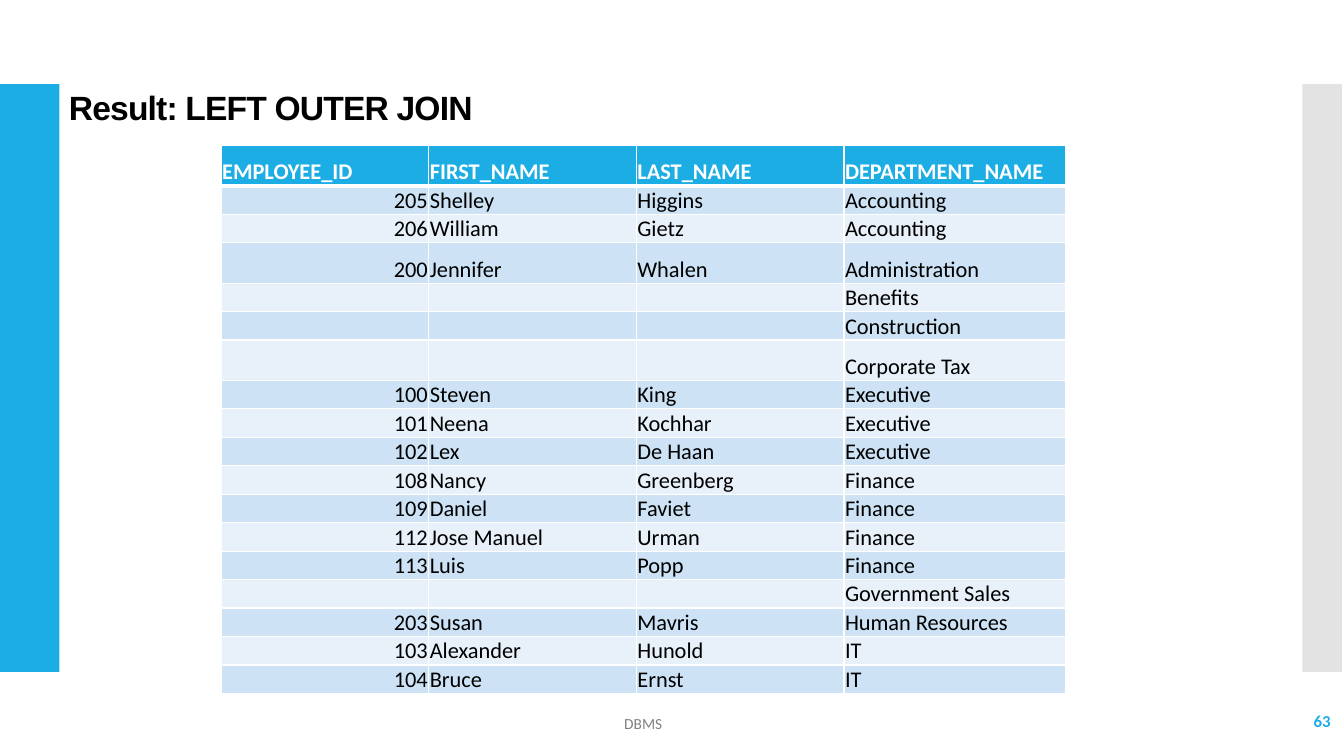
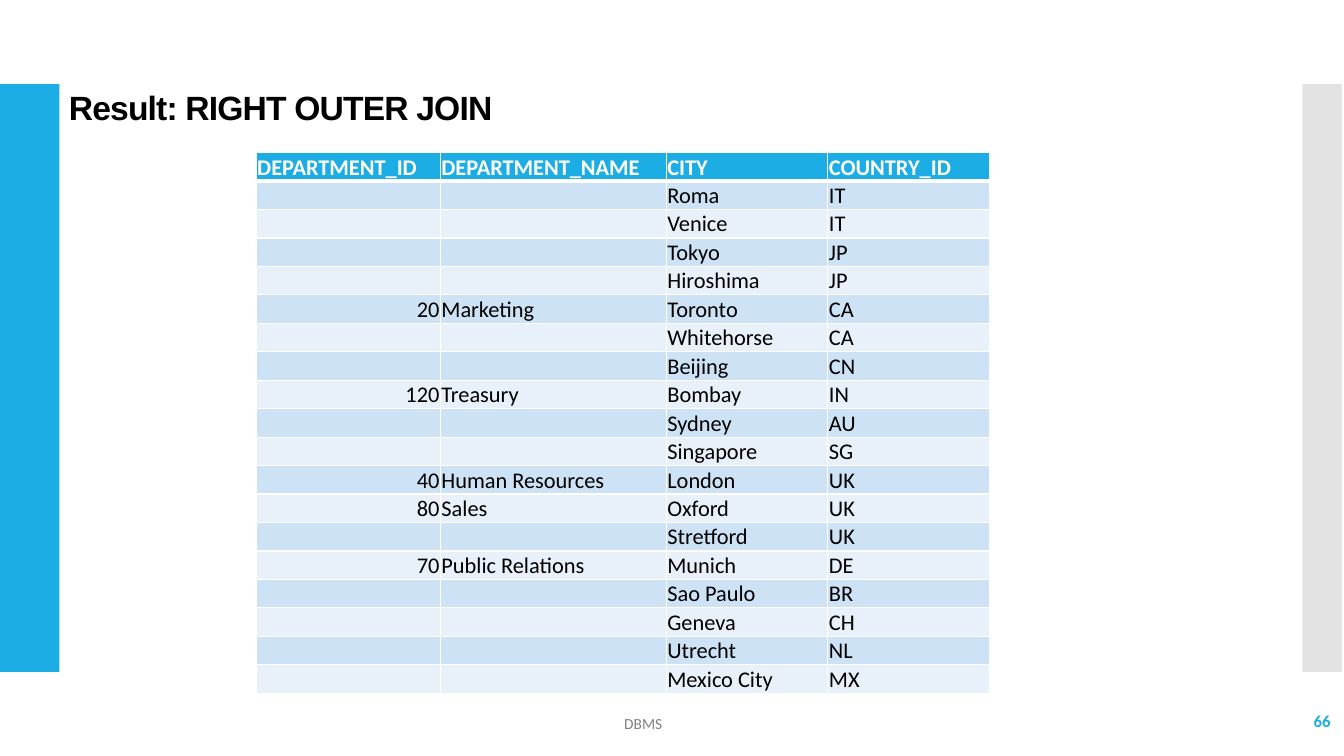
from lxml import etree
from pptx import Presentation
from pptx.dml.color import RGBColor
from pptx.enum import shapes, text
from pptx.oxml import ns
from pptx.util import Pt

BLUE = RGBColor(0x1C, 0xAD, 0xE4)
GREY = RGBColor(0xC8, 0xC8, 0xC8)
FOOTER_GREY = RGBColor(0x80, 0x80, 0x80)
DARK_BAND = RGBColor(0xCD, 0xE3, 0xF5)
LIGHT_BAND = RGBColor(0xE8, 0xF1, 0xFA)
BLACK = RGBColor(0, 0, 0)
WHITE = RGBColor(0xFF, 0xFF, 0xFF)

SLIDE_WIDTH, SLIDE_HEIGHT = 960, 540
TITLE_BOX = (42, 62, 752, 29)
NUMBER_BOX = (837.5, 500.5, 120, 29)
FOOTER_BOX = (227, 502, 465, 29)
BAND_TOP, BAND_HEIGHT = 60, 420
ROW_HEIGHT, TALL_ROW_HEIGHT = 20.3, 28.8
CELL_SIZE = 16

LEFT_JOIN = [
    ("EMPLOYEE_ID", "FIRST_NAME", "LAST_NAME", "DEPARTMENT_NAME"),
    ("205", "Shelley", "Higgins", "Accounting"),
    ("206", "William", "Gietz", "Accounting"),
    ("200", "Jennifer", "Whalen", "Administration"),
    ("", "", "", "Benefits"),
    ("", "", "", "Construction"),
    ("", "", "", "Corporate Tax"),
    ("100", "Steven", "King", "Executive"),
    ("101", "Neena", "Kochhar", "Executive"),
    ("102", "Lex", "De Haan", "Executive"),
    ("108", "Nancy", "Greenberg", "Finance"),
    ("109", "Daniel", "Faviet", "Finance"),
    ("112", "Jose Manuel", "Urman", "Finance"),
    ("113", "Luis", "Popp", "Finance"),
    ("", "", "", "Government Sales"),
    ("203", "Susan", "Mavris", "Human Resources"),
    ("103", "Alexander", "Hunold", "IT"),
    ("104", "Bruce", "Ernst", "IT"),
]

RIGHT_JOIN = [
    ("DEPARTMENT_ID", "DEPARTMENT_NAME", "CITY", "COUNTRY_ID"),
    ("", "", "Roma", "IT"),
    ("", "", "Venice", "IT"),
    ("", "", "Tokyo", "JP"),
    ("", "", "Hiroshima", "JP"),
    ("20", "Marketing", "Toronto", "CA"),
    ("", "", "Whitehorse", "CA"),
    ("", "", "Beijing", "CN"),
    ("120", "Treasury", "Bombay", "IN"),
    ("", "", "Sydney", "AU"),
    ("", "", "Singapore", "SG"),
    ("40", "Human Resources", "London", "UK"),
    ("80", "Sales", "Oxford", "UK"),
    ("", "", "Stretford", "UK"),
    ("70", "Public Relations", "Munich", "DE"),
    ("", "", "Sao Paulo", "BR"),
    ("", "", "Geneva", "CH"),
    ("", "", "Utrecht", "NL"),
    ("", "", "Mexico City", "MX"),
]


def points(box):
    return [Pt(length) for length in box]


def write_text(frame, content, size, color, font="Calibri", bold=False,
               align=text.PP_ALIGN.LEFT, line_spacing=None, tracking=None):
    paragraph = frame.paragraphs[0]
    paragraph.alignment = align
    paragraph.line_spacing = line_spacing
    run = paragraph.add_run()
    run.text = content
    run.font.name = font
    run.font.size = Pt(size)
    run.font.bold = bold
    run.font.color.rgb = color
    if tracking is not None:
        run.font._element.set("spc", str(round(tracking * 100)))


def add_text_box(slide, box, content, **text_format):
    frame = slide.shapes.add_textbox(*points(box)).text_frame
    frame.word_wrap = True
    frame.vertical_anchor = text.MSO_ANCHOR.MIDDLE
    write_text(frame, content, **text_format)


def add_master_band(slide, box, color, opacity=100):
    """Draw a side band and move it to the slide master."""
    band = slide.shapes.add_shape(shapes.MSO_SHAPE.RECTANGLE, *points(box))
    band.shadow.inherit = False
    band.line.fill.background()
    band.fill.solid()
    band.fill.fore_color.rgb = color
    if opacity < 100:
        color_element = band._element.spPr.find(".//" + ns.qn("a:srgbClr"))
        alpha = etree.SubElement(color_element, ns.qn("a:alpha"))
        alpha.set("val", str(opacity * 1000))
    slide.slide_layout.slide_master.shapes._spTree.insert(2, band._element)


def set_borders(cell, top, bottom):
    """Give the cell white borders; only top and bottom widths vary."""
    properties = cell._tc.get_or_add_tcPr()
    widths = {"a:lnL": 1, "a:lnR": 1, "a:lnT": top, "a:lnB": bottom}
    for index, (tag, width) in enumerate(widths.items()):
        line = etree.Element(ns.qn(tag), w=str(Pt(width)))
        fill = etree.SubElement(line, ns.qn("a:solidFill"))
        etree.SubElement(fill, ns.qn("a:srgbClr"), val=str(WHITE))
        properties.insert(index, line)


def fill_cell(cell, content, row_index):
    header = row_index == 0
    cell.margin_left = cell.margin_right = cell.margin_top = Pt(0.75)
    cell.margin_bottom = 0
    cell.vertical_anchor = text.MSO_ANCHOR.BOTTOM
    cell.fill.solid()
    cell.fill.fore_color.rgb = (
        BLUE if header else DARK_BAND if row_index % 2 else LIGHT_BAND)
    set_borders(cell, top=3 if row_index == 1 else 1, bottom=3 if header else 1)
    if content:
        align = text.PP_ALIGN.RIGHT if content.isdigit() else text.PP_ALIGN.LEFT
        write_text(cell.text_frame, content, size=CELL_SIZE, bold=header,
                   color=WHITE if header else BLACK, align=align)
    else:
        end_format = cell.text_frame.paragraphs[0]._p.get_or_add_endParaRPr()
        end_format.set("sz", str(CELL_SIZE * 100))


def add_result_table(slide, left, top, column_widths, rows, tall_rows):
    heights = [TALL_ROW_HEIGHT if index in tall_rows else ROW_HEIGHT
               for index in range(len(rows))]
    box = (left, top, sum(column_widths), sum(heights))
    table = slide.shapes.add_table(
        len(rows), len(column_widths), *points(box)).table
    table.horz_banding = False
    for column, width in zip(table.columns, column_widths):
        column.width = Pt(width)
    for row_index, values in enumerate(rows):
        table.rows[row_index].height = Pt(heights[row_index])
        for column_index, value in enumerate(values):
            fill_cell(table.cell(row_index, column_index), value, row_index)


def add_title(slide, box, content):
    title = slide.shapes.title
    title.left, title.top, title.width, title.height = points(box)
    frame = title.text_frame
    frame.auto_size = text.MSO_AUTO_SIZE.NONE
    frame.vertical_anchor = text.MSO_ANCHOR.TOP
    write_text(frame, content, size=24, color=BLACK, font="Arial", bold=True,
               line_spacing=0.9, tracking=-0.6)


def add_result_slide(presentation, title, number, **table_format):
    slide = presentation.slides.add_slide(presentation.slide_layouts[5])
    add_title(slide, TITLE_BOX, title)
    add_result_table(slide, **table_format)
    add_text_box(slide, NUMBER_BOX, number, size=12, color=BLUE, bold=True,
                 align=text.PP_ALIGN.RIGHT)
    add_text_box(slide, FOOTER_BOX, "DBMS", size=11, color=FOOTER_GREY,
                 align=text.PP_ALIGN.CENTER)
    return slide


def main():
    presentation = Presentation()
    presentation.slide_width = Pt(SLIDE_WIDTH)
    presentation.slide_height = Pt(SLIDE_HEIGHT)
    slide = add_result_slide(
        presentation, "Result: LEFT OUTER JOIN", "63", left=158, top=104,
        column_widths=(148.3, 148.3, 148.3, 158.4), rows=LEFT_JOIN,
        tall_rows=(0, 3, 6))
    add_master_band(slide, (0, BAND_TOP, 42.4, BAND_HEIGHT), BLUE)
    add_master_band(slide, (930.3, BAND_TOP, 28.3, BAND_HEIGHT), GREY, opacity=50)
    add_result_slide(
        presentation, "Result: RIGHT OUTER JOIN", "66", left=183, top=109,
        column_widths=(131.6, 161.4, 115.4, 115.4), rows=RIGHT_JOIN,
        tall_rows=())
    presentation.save("out.pptx")


if __name__ == "__main__":
    main()
